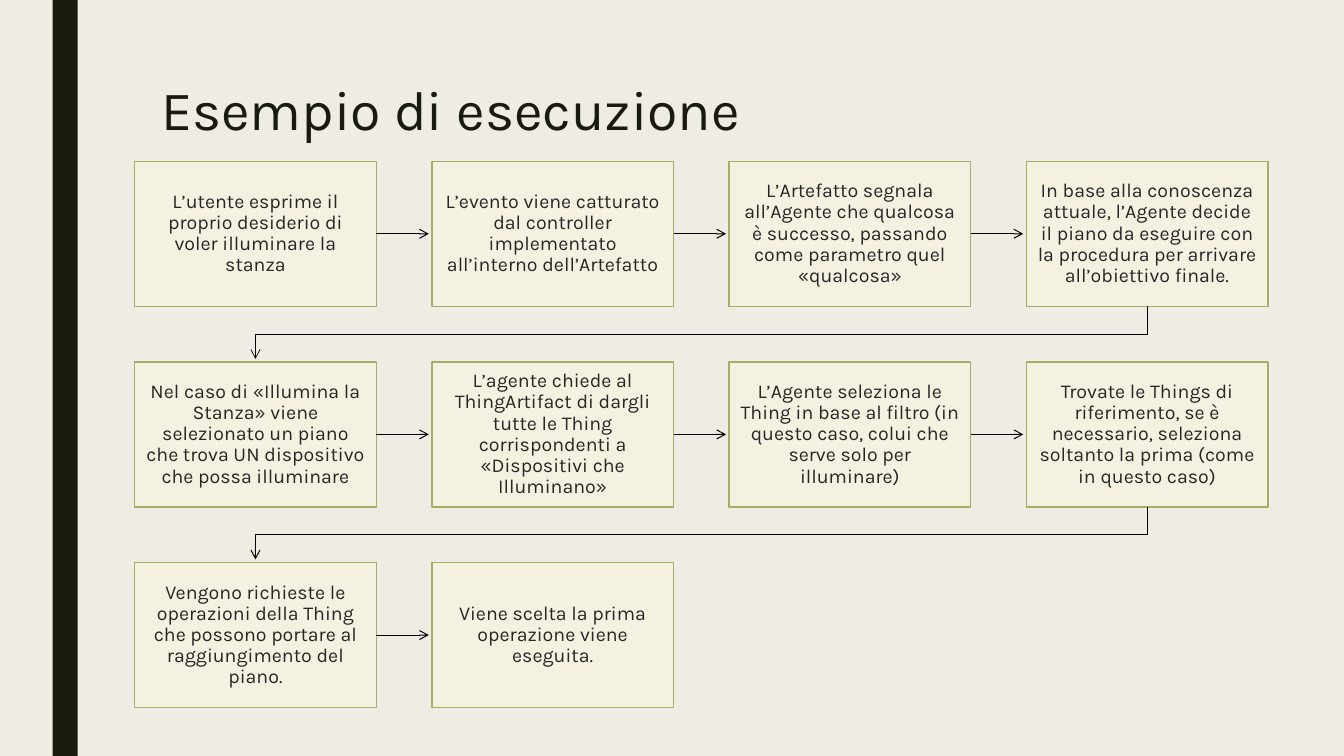
from dataclasses import dataclass

from lxml import etree
from pptx import Presentation
from pptx.dml.color import RGBColor
from pptx.enum import shapes, text
from pptx.oxml import ns
from pptx.util import Pt

TITLE = "Esempio di esecuzione"
STEPS = [
    "L’utente esprime il proprio desiderio di voler illuminare la stanza",
    "L’evento viene catturato dal controller implementato all’interno dell’Artefatto",
    "L’Artefatto segnala all’Agente che qualcosa è successo, passando come parametro quel «qualcosa»",
    "In base alla conoscenza attuale, l’Agente decide il piano da eseguire con la procedura "
    "per arrivare all’obiettivo finale.",
    "Nel caso di «Illumina la Stanza» viene selezionato un piano che trova UN dispositivo "
    "che possa illuminare",
    "L’agente chiede al ThingArtifact di dargli tutte le Thing corrispondenti a "
    "«Dispositivi che Illuminano»",
    "L’Agente seleziona le Thing in base al filtro (in questo caso, colui che serve solo per illuminare)",
    "Trovate le Things di riferimento, se è necessario, seleziona soltanto la prima "
    "(come in questo caso)",
    "Vengono richieste le operazioni della Thing che possono portare al raggiungimento del piano.",
    "Viene scelta la prima operazione viene eseguita.",
]


@dataclass(frozen=True)
class Theme:
    font: str = "Karla"
    background: RGBColor = RGBColor(0xEF, 0xED, 0xE3)
    dark: RGBColor = RGBColor(0x19, 0x1B, 0x0E)
    box_fill: RGBColor = RGBColor(0xF4, 0xF1, 0xE1)
    box_line: RGBColor = RGBColor(0xA3, 0xAF, 0x65)
    box_text: RGBColor = RGBColor(0x26, 0x26, 0x26)
    arrow: RGBColor = RGBColor(0, 0, 0)
    title_size: float = 39.6
    step_size: float = 14


THEME = Theme()
COLUMNS = 4
LEFT, TOP = 96.2, 115.2
BOX_WIDTH, BOX_HEIGHT = 172.6, 103.6
PITCH_X, PITCH_Y = 212.3, 143.3
TIP_GAP = 2.2  # space between an arrow tip and the next box
ARROW_WIDTH = 0.75
FIRST_RETURN_WIDTH = 0.5


def box_origin(index):
    row, column = divmod(index, COLUMNS)
    return LEFT + column * PITCH_X, TOP + row * PITCH_Y


def format_paragraph(paragraph, size, color, alignment, spacing):
    paragraph.alignment = alignment
    paragraph.line_spacing = spacing
    paragraph.font.name = THEME.font
    paragraph.font.size = Pt(size)
    paragraph.font.color.rgb = color


def add_box(slide, left, top, width, height, fill):
    box = slide.shapes.add_shape(
        shapes.MSO_SHAPE.RECTANGLE, Pt(left), Pt(top), Pt(width), Pt(height))
    box.shadow.inherit = False
    box.fill.solid()
    box.fill.fore_color.rgb = fill
    box.line.fill.background()
    return box


def add_step(slide, index, wording):
    box = add_box(slide, *box_origin(index), BOX_WIDTH, BOX_HEIGHT, THEME.box_fill)
    box.line.color.rgb = THEME.box_line
    box.line.width = Pt(1)
    frame = box.text_frame
    frame.word_wrap = True
    frame.vertical_anchor = text.MSO_ANCHOR.MIDDLE
    frame.margin_left = frame.margin_right = Pt(7.9)
    frame.margin_top = frame.margin_bottom = Pt(7.9)
    frame.text = wording
    format_paragraph(frame.paragraphs[0], THEME.step_size, THEME.box_text,
                     text.PP_ALIGN.CENTER, 0.9)


def style_arrow(line, width):
    line.color.rgb = THEME.arrow
    line.width = Pt(width)
    etree.SubElement(line._get_or_add_ln(), ns.qn("a:tailEnd"), type="arrow")


def add_forward_arrow(slide, index):
    left, top = box_origin(index)
    middle = Pt(top + BOX_HEIGHT / 2)
    arrow = slide.shapes.add_connector(
        shapes.MSO_CONNECTOR.STRAIGHT, Pt(left + BOX_WIDTH), middle,
        Pt(left + PITCH_X - TIP_GAP), middle)
    style_arrow(arrow.line, ARROW_WIDTH)
    etree.SubElement(arrow._element.spPr, ns.qn("a:effectLst"))


def add_return_arrow(slide, index):
    """Lead from the last box of a row to the first box of the next."""
    left, top = box_origin(index)
    next_left, next_top = box_origin(index + 1)
    start_x, end_x = left + BOX_WIDTH / 2, next_left + BOX_WIDTH / 2
    bottom = top + BOX_HEIGHT
    bend = (bottom + next_top) / 2
    builder = slide.shapes.build_freeform(Pt(start_x), Pt(bottom))
    corners = [(start_x, bend), (end_x, bend), (end_x, next_top - TIP_GAP)]
    builder.add_line_segments([(Pt(x), Pt(y)) for x, y in corners], close=False)
    arrow = builder.convert_to_shape()
    arrow.shadow.inherit = False
    arrow.fill.background()
    style_arrow(arrow.line, FIRST_RETURN_WIDTH if index < COLUMNS else ARROW_WIDTH)


def add_title(slide):
    title = slide.shapes.title
    title.left, title.top, title.width, title.height = Pt(108), Pt(54), Pt(756), Pt(53.3)
    frame = title.text_frame
    frame.text = TITLE
    frame.word_wrap = True
    frame.auto_size = text.MSO_AUTO_SIZE.NONE
    frame.vertical_anchor = text.MSO_ANCHOR.MIDDLE
    format_paragraph(frame.paragraphs[0], THEME.title_size, THEME.dark,
                     text.PP_ALIGN.LEFT, 0.89)


def main():
    presentation = Presentation()
    presentation.slide_width, presentation.slide_height = Pt(960), Pt(540)
    slide = presentation.slides.add_slide(presentation.slide_layouts[5])
    slide.background.fill.solid()
    slide.background.fill.fore_color.rgb = THEME.background
    add_box(slide, 37.5, 0, 18, 540, THEME.dark)
    add_title(slide)
    for index, wording in enumerate(STEPS):
        add_step(slide, index, wording)
        if index == len(STEPS) - 1:
            continue
        if index % COLUMNS == COLUMNS - 1:
            add_return_arrow(slide, index)
        else:
            add_forward_arrow(slide, index)
    presentation.save("out.pptx")


if __name__ == "__main__":
    main()
